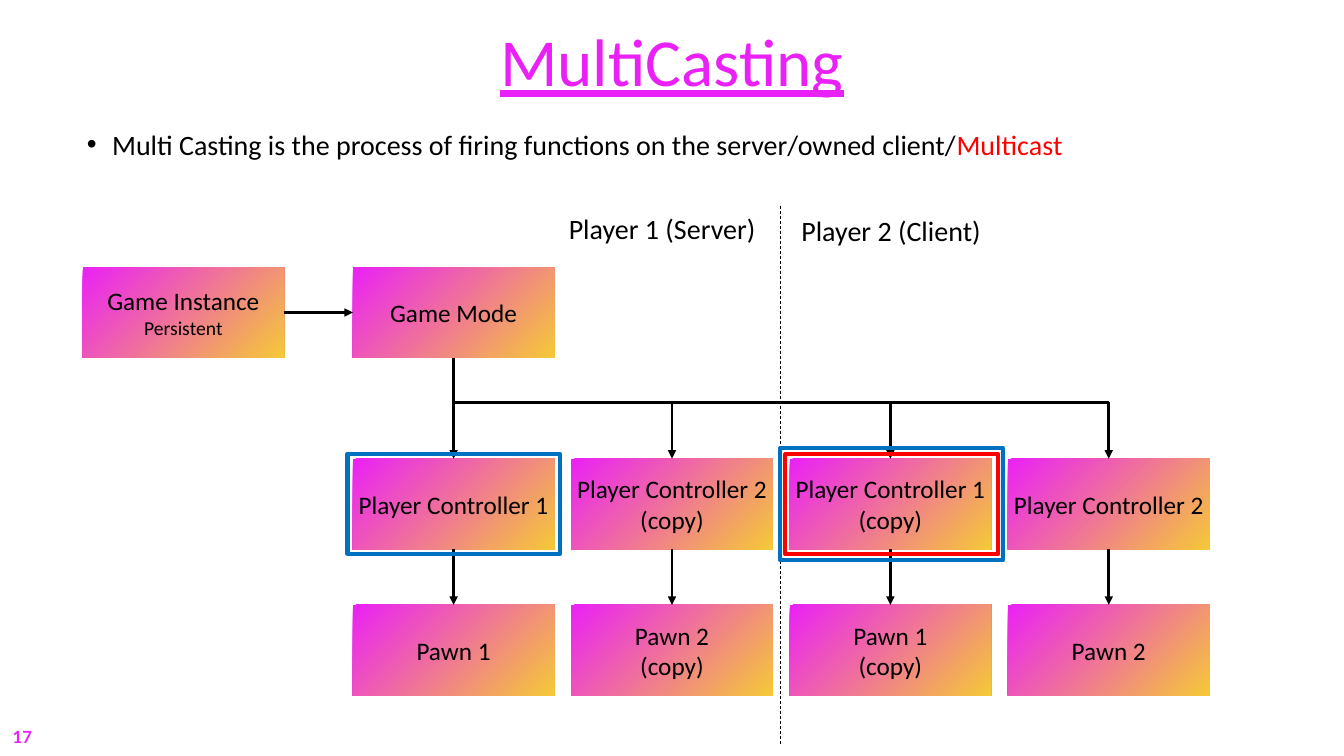
"""Builds the MultiCasting slide with its server and client object diagram."""
from lxml import etree
from pptx import Presentation
from pptx.dml.color import RGBColor
from pptx.enum.dml import MSO_LINE
from pptx.enum.shapes import MSO_CONNECTOR, MSO_SHAPE
from pptx.enum.text import MSO_ANCHOR, MSO_AUTO_SIZE, PP_ALIGN
from pptx.oxml.ns import qn
from pptx.util import Pt

CENTER, LEFT = PP_ALIGN.CENTER, PP_ALIGN.LEFT
MIDDLE, TOP = MSO_ANCHOR.MIDDLE, MSO_ANCHOR.TOP
STRAIGHT, ELBOW = MSO_CONNECTOR.STRAIGHT, MSO_CONNECTOR.ELBOW
RECT, DASH, FIXED = MSO_SHAPE.RECTANGLE, MSO_LINE.DASH, MSO_AUTO_SIZE.NONE

COLORS = {"magenta": "EA21F6", "yellow": "F5C938", "black": "000000",
          "red": "FF0000", "blue": "0070C0"}
BOX_W, BOX_H = 144, 64.8
COLUMNS = [252 + 156 * i for i in range(4)]
MODE_Y, CONTROLLER_Y, PAWN_Y = 190.8, 327.6, 432
BUS_Y = 287.3
PLAYERS = [("1", False), ("2", True), ("1", True), ("2", False)]


def rgb(name):
    """Return the named colour."""
    return RGBColor.from_string(COLORS[name])


def add_run(p, text, size, color="black", **formats):
    """Append a formatted run to a paragraph."""
    r = p.add_run()
    r.text = text
    for key, value in {"name": "Calibri", "size": Pt(size), **formats}.items():
        setattr(r.font, key, value)
    r.font.color.rgb = rgb(color)


def fill_text(tf, lines, align=CENTER, anchor=TOP, wrap=True, spacing=None):
    """Write one paragraph per line, each line being a list of run arguments."""
    formats = {"word_wrap": wrap, "auto_size": FIXED, "vertical_anchor": anchor}
    for key, value in formats.items():
        setattr(tf, key, value)
    for i, runs in enumerate(lines):
        p = tf.add_paragraph() if i else tf.paragraphs[0]
        p.alignment, p.line_spacing, p.space_before = align, spacing, Pt(0)
        for text, size, *color in runs:
            add_run(p, text, size, *color)


def add_title(s, text):
    """Place and format the title placeholder."""
    sp = s.shapes.title
    sp.left, sp.top, sp.width, sp.height = Pt(55), Pt(21), Pt(850), Pt(51)
    fill_text(sp.text_frame, [[(text, 48, "magenta")]], anchor=MIDDLE, spacing=0.9)
    sp.text_frame.paragraphs[0].runs[0].font.underline = True


def add_label(s, x, y, w, h, runs, **options):
    """Add a one-paragraph text box and return its paragraph."""
    tf = s.shapes.add_textbox(Pt(x), Pt(y), Pt(w), Pt(h)).text_frame
    fill_text(tf, [runs], **options)
    return tf.paragraphs[0]


def add_bullet(p):
    """Give a paragraph a hanging round bullet."""
    pPr = p._p.get_or_add_pPr()
    pPr.set("marL", str(Pt(18)))
    pPr.set("indent", str(Pt(-18)))
    etree.SubElement(pPr, qn("a:buFont")).set("typeface", "Arial")
    etree.SubElement(pPr, qn("a:buChar")).set("char", "•")


def add_rect(s, x, y, w, h):
    """Add a rectangle without a shadow."""
    sp = s.shapes.add_shape(RECT, Pt(x), Pt(y), Pt(w), Pt(h))
    sp.shadow.inherit = False
    return sp


def add_box(s, x, y, *lines):
    """Add a gradient box with centred lines of (text, size)."""
    sp = add_rect(s, x, y, BOX_W, BOX_H)
    sp.line.fill.background()
    sp.fill.gradient()
    sp.fill.gradient_angle = 315
    for stop, name in zip(sp.fill.gradient_stops, ("magenta", "yellow")):
        stop.color.rgb = rgb(name)
    tf = sp.text_frame
    for side in ("left", "right", "top", "bottom"):
        setattr(tf, f"margin_{side}", 0)
    fill_text(tf, [[line] for line in lines], anchor=MIDDLE)
    return sp


def add_player_box(s, x, y, name, player):
    """Add the box of one player's object, marked when it is a copy."""
    number, copied = player
    lines = [(f"{name} {number}", 18)] + [("(copy)", 18)] * copied
    return add_box(s, x, y, *lines)


def add_frame(s, x, y, w, h, color):
    """Add an unfilled highlight frame."""
    sp = add_rect(s, x, y, w, h)
    sp.fill.background()
    sp.line.color.rgb = rgb(color)
    sp.line.width = Pt(3)


def add_line(s, x1, y1, x2, y2, width=2, kind=STRAIGHT, arrow=True):
    """Add a black connector, with an arrowhead at its end if asked."""
    c = s.shapes.add_connector(kind, Pt(x1), Pt(y1), Pt(x2), Pt(y2))
    c.line.color.rgb = rgb("black")
    c.line.width = Pt(width)
    if arrow:
        etree.SubElement(c.line._get_or_add_ln(), qn("a:tailEnd")).set("type", "triangle")
    etree.SubElement(c._element.spPr, qn("a:effectLst"))
    return c


def join(s, start, start_site, end, end_site):
    """Link two boxes with a straight arrow."""
    c = add_line(s, 0, 0, 10, 10)
    c.begin_connect(start, start_site)
    c.end_connect(end, end_site)


def add_diagram(s):
    """Draw the boxes, their arrows and the highlight frames."""
    instance = add_box(s, 59, MODE_Y, ("Game Instance", 18), ("Persistent", 14))
    mode = add_box(s, COLUMNS[0], MODE_Y, ("Game Mode", 18))
    controllers, pawns = [
        [add_player_box(s, x, y, name, player) for x, player in zip(COLUMNS, PLAYERS)]
        for name, y in (("Player Controller", CONTROLLER_Y), ("Pawn", PAWN_Y))]

    join(s, instance, 3, mode, 1)
    join(s, mode, 2, controllers[0], 0)
    for controller, pawn in zip(controllers, pawns):
        join(s, controller, 2, pawn, 0)
    first, *inner, last = [x + BOX_W / 2 for x in COLUMNS]
    for x, controller in zip(inner, controllers[1:3]):
        add_line(s, x, BUS_Y, x, CONTROLLER_Y).end_connect(controller, 0)
    bus = add_line(s, first, BUS_Y, last, CONTROLLER_Y, kind=ELBOW)
    bus._element.spPr.find(qn("a:prstGeom")).set("prst", "bentConnector2")

    divider = add_line(s, 557.3, 147, 557.3, 532, width=0.5, arrow=False)
    divider.line.dash_style = DASH
    add_frame(s, 561, 324.5, 152, 71.3, "red")
    add_frame(s, 248.2, 324.2, 152, 71.3, "blue")
    add_frame(s, 557.3, 320.2, 159, 80, "blue")


def main():
    """Build and save the slide."""
    prs = Presentation()
    prs.slide_width, prs.slide_height = Pt(960), Pt(540)
    s = prs.slides.add_slide(prs.slide_layouts[5])
    add_title(s, "MultiCasting")
    intro = "Multi Casting is the process of firing functions on the server/owned client/"
    add_bullet(add_label(s, 55, 90, 850, 83, [(intro, 20), ("Multicast", 20, "red")],
                         align=LEFT, spacing=0.9))
    add_diagram(s)
    for x, y, text in ((382.3, 150.5, "Player 1 (Server)"),
                       (545.8, 152, "Player 2 (Client)")):
        add_label(s, x, y, 181.4, 36, [(text, 20)], spacing=0.9)
    number = add_label(s, 2, 515.5, 29, 21.6, [("17", 12, "magenta")],
                       align=LEFT, wrap=False)
    for key, value in {"name": "Lato", "bold": True}.items():
        setattr(number.runs[0].font, key, value)
    prs.save("out.pptx")


if __name__ == "__main__":
    main()
